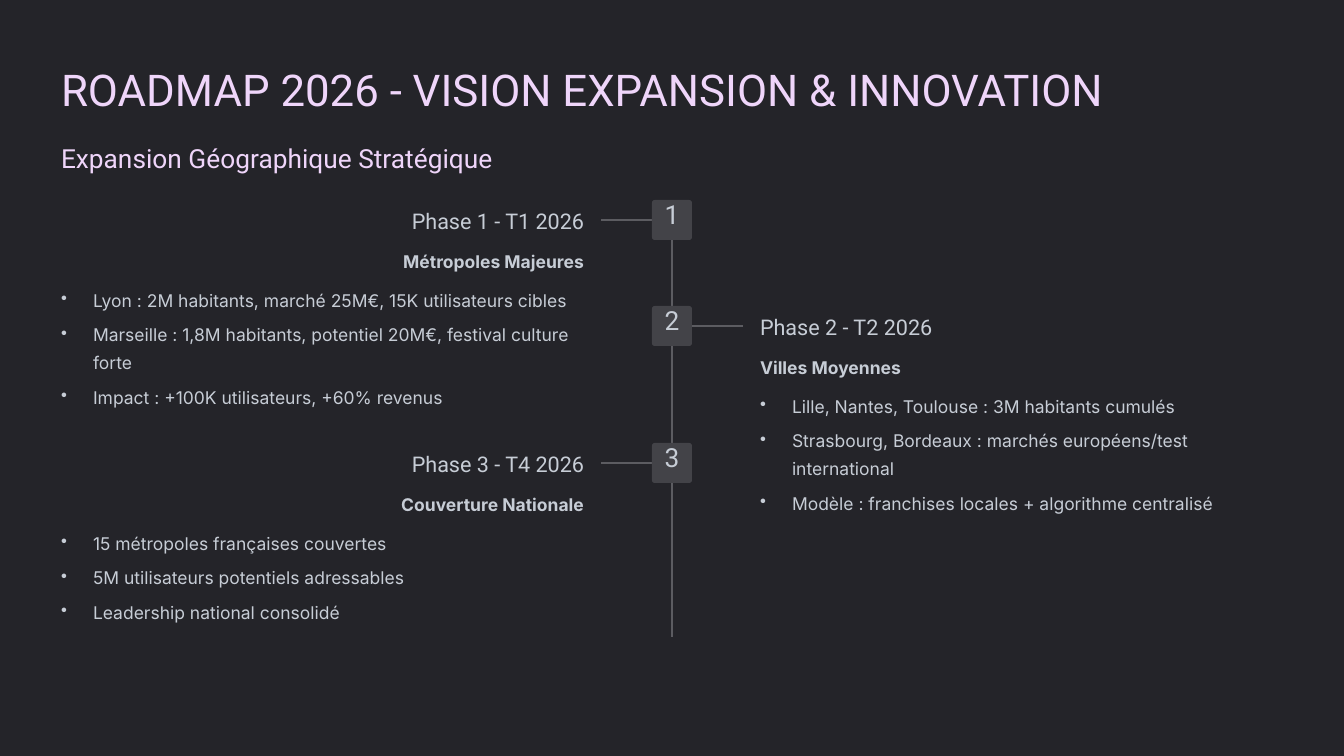
from lxml import etree
from pptx import Presentation
from pptx.dml.color import RGBColor
from pptx.enum.shapes import MSO_CONNECTOR, MSO_SHAPE
from pptx.enum.text import MSO_ANCHOR, PP_ALIGN
from pptx.oxml.ns import qn
from pptx.util import Pt

LEFT, CENTER, RIGHT = PP_ALIGN.LEFT, PP_ALIGN.CENTER, PP_ALIGN.RIGHT
TOP = MSO_ANCHOR.TOP
STRAIGHT = MSO_CONNECTOR.STRAIGHT
ROUNDED = MSO_SHAPE.ROUNDED_RECTANGLE

EMU_PER_PX = 914400 / 84
COLORS = {
    "background": "242429",
    "heading": "EFD5FA",
    "body": "C7CDD6",
    "line": "5C5C61",
    "marker": "434348",
}
# Font name, size, bold, colour and line spacing of each kind of text
STYLES = {
    "title": ("Roboto", 37.5, False, "heading", 47),
    "subtitle": ("Roboto", 22.5, False, "heading", 28),
    "number": ("Roboto", 22.5, False, "body", 22.5),
    "phase": ("Roboto", 18.5, False, "body", 23.5),
    "theme": ("Inter", 15, True, "body", 24),
    "bullet": ("Inter", 15, False, "body", 24),
}
BULLET_GAP = 5.5
BULLET_INDENT = 32
MARKER = 40
ARM = 51
COLUMN_GAP = 88  # from the spine to the edge of a text column
COLUMN_WIDTH = 523

# Top edge, side of the spine, phase, theme and bullets
PHASES = [
    (200, LEFT, "Phase 1 - T1 2026", "Métropoles Majeures", [
        "Lyon : 2M habitants, marché 25M€, 15K utilisateurs cibles",
        "Marseille : 1,8M habitants, potentiel 20M€, festival culture forte",
        "Impact : +100K utilisateurs, +60% revenus",
    ]),
    (306, RIGHT, "Phase 2 - T2 2026", "Villes Moyennes", [
        "Lille, Nantes, Toulouse : 3M habitants cumulés",
        "Strasbourg, Bordeaux : marchés européens/test international",
        "Modèle : franchises locales + algorithme centralisé",
    ]),
    (443, LEFT, "Phase 3 - T4 2026", "Couverture Nationale", [
        "15 métropoles françaises couvertes",
        "5M utilisateurs potentiels adressables",
        "Leadership national consolidé",
    ]),
]


def px(length):
    return round(length * EMU_PER_PX)


def color(name):
    return RGBColor.from_string(COLORS[name])


def add_bullet(para):
    properties = para._p.get_or_add_pPr()
    properties.set("marL", str(px(BULLET_INDENT)))
    properties.set("indent", str(-px(BULLET_INDENT)))
    etree.SubElement(properties, qn("a:buChar")).set("char", "•")


def fill_text(frame, lines, style, align=LEFT, inset_top=0):
    name, size, bold, color_name, spacing = STYLES[style]
    frame_format = {
        "margin_left": 0, "margin_right": 0, "margin_bottom": 0,
        "margin_top": px(inset_top), "word_wrap": True, "vertical_anchor": TOP,
    }
    for key, value in frame_format.items():
        setattr(frame, key, value)
    for index, line in enumerate(lines):
        para = frame.paragraphs[0] if index == 0 else frame.add_paragraph()
        if style == "bullet":
            add_bullet(para)
            para.space_before = Pt(BULLET_GAP if index else 0)
        para.alignment = align
        para.line_spacing = Pt(spacing)
        span = para.add_run()
        span.text = line
        for key, value in {"name": name, "size": Pt(size), "bold": bold}.items():
            setattr(span.font, key, value)
        span.font.color.rgb = color(color_name)


def add_text(slide, box, lines, style, align=LEFT):
    shape = slide.shapes.add_textbox(*map(px, box))
    fill_text(shape.text_frame, lines, style, align)


def add_line(slide, *ends):
    line = slide.shapes.add_connector(STRAIGHT, *map(px, ends))
    line.line.color.rgb = color("line")
    line.line.width = Pt(1.75)
    etree.SubElement(line._element.spPr, qn("a:effectLst"))


def add_marker(slide, left, top, number):
    marker = slide.shapes.add_shape(ROUNDED, *map(px, (left, top, MARKER, MARKER)))
    marker.adjustments[0] = 0.07
    marker.shadow.inherit = False
    marker.fill.solid()
    marker.fill.fore_color.rgb = color("marker")
    marker.line.fill.background()
    fill_text(marker.text_frame, [str(number)], "number", CENTER, inset_top=3)


def add_heading(slide, box):
    left, top, width, _ = box
    add_text(slide, (left, top, width, 55),
             ["ROADMAP 2026 - VISION EXPANSION & INNOVATION"], "title")
    add_text(slide, (left, top + 81, width, 33),
             ["Expansion Géographique Stratégique"], "subtitle")


def add_phase(slide, spine, number, phase):
    top, side, name, theme, bullets = phase
    direction = 1 if side == RIGHT else -1
    middle = top + MARKER // 2
    edge = spine + direction * MARKER // 2
    add_line(slide, edge, middle, edge + direction * ARM, middle)
    add_marker(slide, spine - MARKER // 2, top, number)

    # Text column beside the spine, its headings aligned towards it
    left = spine + COLUMN_GAP
    align = LEFT
    if side == LEFT:
        left = spine - COLUMN_GAP - COLUMN_WIDTH
        align = RIGHT
    add_text(slide, (left, top + 6, COLUMN_WIDTH, 28), [name], "phase", align)
    add_text(slide, (left, top + 44, COLUMN_WIDTH, 28), [theme], "theme", align)
    add_text(slide, (left, top + 83, COLUMN_WIDTH, 125), bullets, "bullet")


def add_timeline(slide, box):
    left, top, width, height = box
    spine = left + width // 2
    add_line(slide, spine, top, spine, top + height)
    for number, phase in enumerate(PHASES, start=1):
        add_phase(slide, spine, number, phase)


def main():
    deck = Presentation()
    deck.slide_width, deck.slide_height = px(1344), px(756)
    slide = deck.slides.add_slide(deck.slide_layouts[6])
    slide.background.fill.solid()
    slide.background.fill.fore_color.rgb = color("background")
    add_heading(slide, (61, 60, 1114, 114))
    add_timeline(slide, (61, 200, 1222, 437))
    deck.save("out.pptx")


if __name__ == "__main__":
    main()
